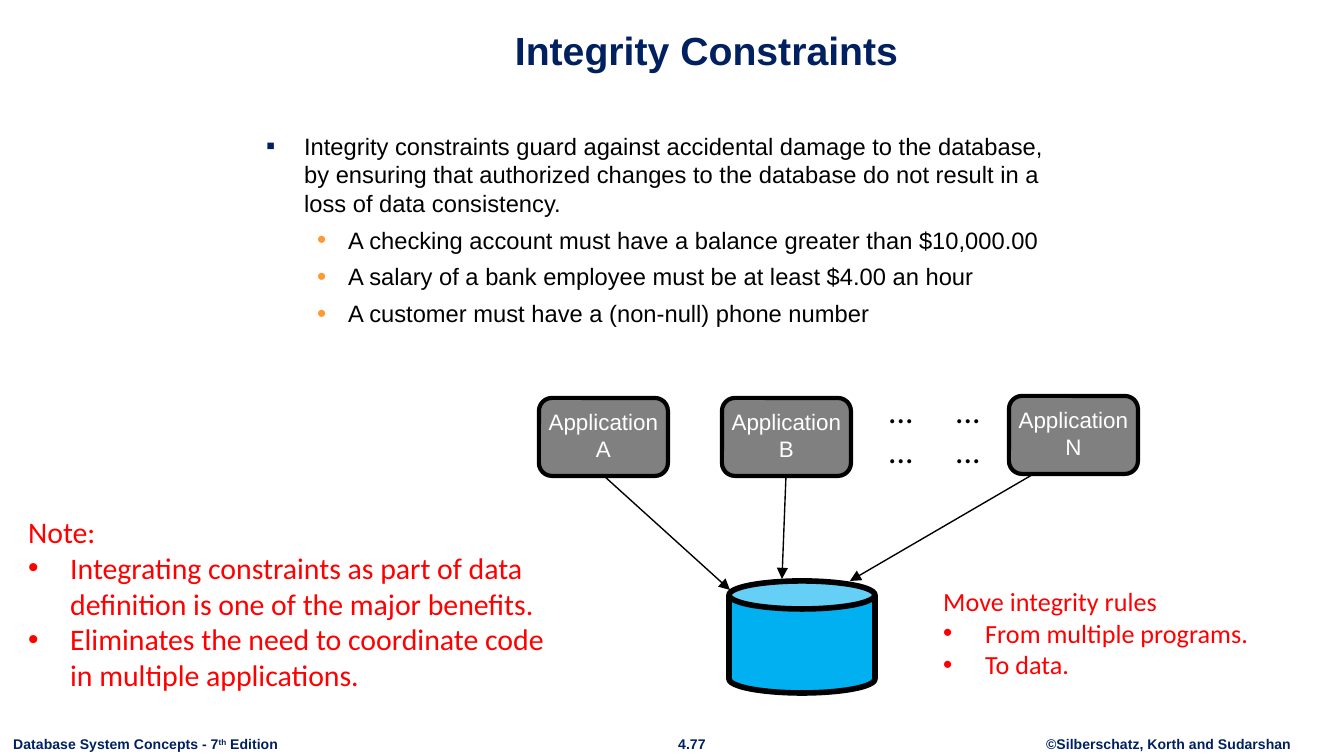
import lxml.etree
import pptx
import pptx.dml.color
import pptx.enum.shapes
import pptx.enum.text
import pptx.oxml.ns
import pptx.util

SHAPES = pptx.enum.shapes.MSO_SHAPE
ALIGN = pptx.enum.text.PP_ALIGN
ANCHOR = pptx.enum.text.MSO_ANCHOR
NAVY, RED, BLACK, WHITE, GRAY, BLUE, ORANGE = (
    "002060", "FF0000", "000000", "FFFFFF", "808080", "00B0F0", "FF9933")

# Content: boxes are left, top, width, height in px; ^ encloses superscript
SLIDE_SIZE = (1344, 756)
FOOTERS = [
    ("Database System Concepts - 7^th^ Edition", (0, 729, 293, 31), ALIGN.LEFT),
    ("4.77", (664, 729, 56, 31), ALIGN.CENTER),
    ("©Silberschatz, Korth and Sudarshan", (1032, 729, 273, 31), ALIGN.CENTER),
]
TITLE = "Integrity Constraints"
RULE = ("Integrity constraints guard against accidental damage to the database, "
        "by ensuring that authorized changes to the database do not result in a "
        "loss of data consistency.")
EXAMPLES = [
    "A checking account must have a balance greater than $10,000.00",
    "A salary of a bank employee must be at least $4.00 an hour",
    "A customer must have a (non-null) phone number",
]
BODY_SIZE = 12.7
NOTES = [
    ("Note:",
     ["Integrating constraints as part of data\ndefinition is one of the major benefits.",
      "Eliminates the need to coordinate code\nin multiple applications."],
     (15, 507, 550, 195), 16),
    ("Move integrity rules", ["From multiple programs.", "To data."],
     (930, 579, 335, 109), 14),
]
# Name, left, top, and the two ends of the arrow to the database
APPLICATIONS = [
    ("A", 539, 398, (604, 476), (730, 590)),
    ("B", 722, 398, (786, 476), (782, 579)),
    ("N", 1009, 396, (1032, 475), (850, 581)),
]
APPLICATION_SIZE = (129, 78)
DATABASE = (729, 581, 146, 112)
DOTS = "...\t..."
DOTS_BOX = (875, 383, 121, 95)
DOTS_TAB = 67


def px(value):
    return round(value * 914400 / 134.4)


def rgb(color):
    return pptx.dml.color.RGBColor.from_string(color)


def add_element(parent, tag, **attributes):
    return lxml.etree.SubElement(parent, pptx.oxml.ns.qn(tag), **attributes)


def add_paragraph(frame, text, size=12, font="Arial", color=BLACK, bold=False,
                  align=ALIGN.LEFT, before=0, bullet=None, bullet_color=None,
                  bullet_size=100, margin=0, hanging=0, tab=None):
    first = frame.paragraphs[0]
    paragraph = frame.add_paragraph() if first.runs else first
    properties = paragraph._p.get_or_add_pPr()
    if bullet:
        properties.set("marL", str(px(margin)))
        properties.set("indent", str(-px(hanging)))
        bullet_fill = add_element(properties, "a:buClr")
        add_element(bullet_fill, "a:srgbClr", val=bullet_color or color)
        add_element(properties, "a:buSzPct", val=str(bullet_size * 1000))
        add_element(properties, "a:buFont", typeface="Arial")
        add_element(properties, "a:buChar", char=bullet)
    if tab:
        tabs = add_element(properties, "a:tabLst")
        add_element(tabs, "a:tab", pos=str(px(tab)), algn="l")
    paragraph.alignment = align
    if before:
        paragraph.space_before = pptx.util.Pt(before)
    for line_number, line in enumerate(text.split("\n")):
        if line_number:
            paragraph.add_line_break()
            add_element(paragraph._p[-1], "a:rPr", sz=str(round(size * 100)))
        for part_number, part in enumerate(line.split("^")):
            run = paragraph.add_run()
            run.text = part
            run.font.size = pptx.util.Pt(size)
            run.font.name = font
            run.font.bold = bold
            run.font.color.rgb = rgb(color)
            if part_number % 2:
                run._r.get_or_add_rPr().set("baseline", "30000")


def add_text_box(slide, box, wrap=False, anchor=ANCHOR.TOP):
    frame = slide.shapes.add_textbox(*map(px, box)).text_frame
    frame.word_wrap = wrap
    frame.vertical_anchor = anchor
    return frame


def add_shape(slide, kind, box, fill, line_width):
    shape = slide.shapes.add_shape(kind, *map(px, box))
    shape.shadow.inherit = False
    shape.fill.solid()
    shape.fill.fore_color.rgb = rgb(fill)
    shape.line.color.rgb = rgb(BLACK)
    shape.line.width = pptx.util.Pt(line_width)
    return shape


def add_arrow(slide, start, end):
    arrow = slide.shapes.add_connector(
        pptx.enum.shapes.MSO_CONNECTOR.STRAIGHT, *map(px, start + end))
    arrow.line.color.rgb = rgb(BLACK)
    arrow.line.width = pptx.util.Pt(0.75)
    add_element(arrow.line._get_or_add_ln(), "a:tailEnd", type="triangle")
    add_element(arrow._element.spPr, "a:effectLst")


def main():
    presentation = pptx.Presentation()
    presentation.slide_width, presentation.slide_height = map(px, SLIDE_SIZE)
    slide = presentation.slides.add_slide(presentation.slide_layouts[6])

    # Footer and title
    for text, box, align in FOOTERS:
        add_paragraph(add_text_box(slide, box), text, size=7.5, color=NAVY,
                      bold=True, align=align)
    title = add_text_box(slide, (113, 13, 1187, 67), wrap=True, anchor=ANCHOR.BOTTOM)
    add_paragraph(title, TITLE, size=21, color=NAVY, bold=True, align=ALIGN.CENTER)

    # Rule and its examples
    body = add_text_box(slide, (253, 125, 828, 474), wrap=True)
    add_paragraph(body, RULE, size=BODY_SIZE, bullet="▪", bullet_color=NAVY,
                  bullet_size=110, margin=38, hanging=38)
    for example in EXAMPLES:
        add_paragraph(body, example, size=BODY_SIZE, before=4.5, bullet="•",
                      bullet_color=ORANGE, bullet_size=110, margin=82, hanging=31)

    # Red notes
    for heading, points, box, size in NOTES:
        note = add_text_box(slide, box)
        add_paragraph(note, heading, size=size, font="Calibri", color=RED)
        for point in points:
            add_paragraph(note, point, size=size, font="Calibri", color=RED,
                          bullet="•", margin=42, hanging=42)

    # Database, applications and arrows
    add_shape(slide, SHAPES.CAN, DATABASE, BLUE, 3)
    for name, left, top, start, end in APPLICATIONS:
        application = add_shape(slide, SHAPES.ROUNDED_RECTANGLE,
                                (left, top) + APPLICATION_SIZE, GRAY, 2.25)
        frame = application.text_frame
        frame.word_wrap = False
        frame.vertical_anchor = ANCHOR.TOP
        add_paragraph(frame, f"Application\n{name}", color=WHITE, align=ALIGN.CENTER)
        add_arrow(slide, start, end)

    # Dots for the applications in between
    dots = add_text_box(slide, DOTS_BOX, wrap=True)
    for _ in range(2):
        add_paragraph(dots, DOTS, size=18, font="Calibri", tab=DOTS_TAB)

    presentation.save("out.pptx")


if __name__ == "__main__":
    main()
